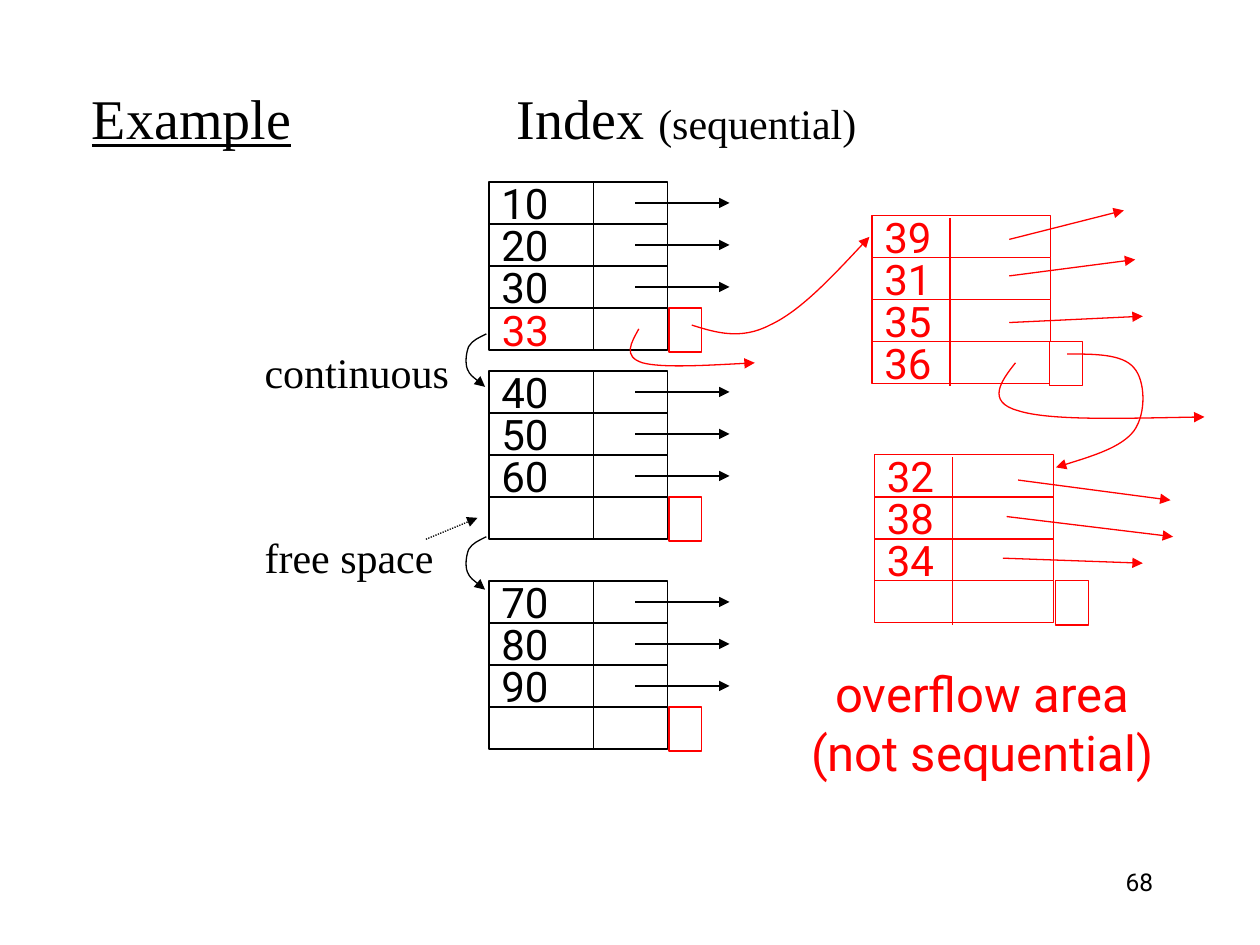
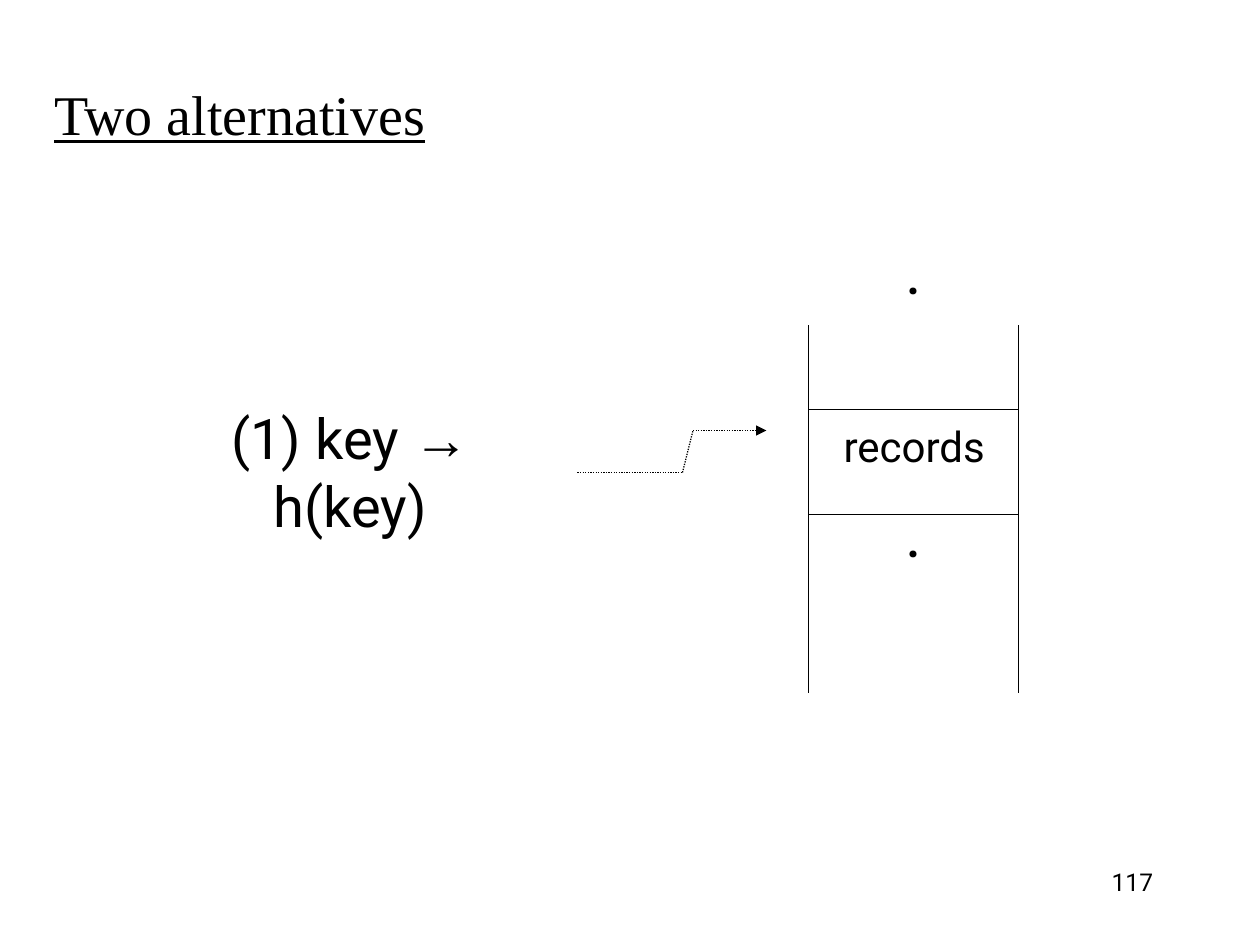
from lxml.etree import SubElement
from pptx import Presentation
from pptx.dml.color import RGBColor
from pptx.enum.dml import MSO_LINE
from pptx.enum.shapes import MSO_CONNECTOR, MSO_SHAPE
from pptx.enum.text import MSO_ANCHOR, MSO_AUTO_SIZE, PP_ALIGN
from pptx.oxml.ns import qn
from pptx.util import Inches, Pt

COLOURS = {"ink": "000000", "overflow": "FF0000", "paper": "FFFFFF"}
SERIF, SANS, ARROW_FONT = "Times New Roman", "Roboto", "Arial"
ROW, BLOCK_WIDTH = 1 / 3, 1.42
POINTER_SIZE = (0.26, 0.35)
LINE_WIDTH = 0.75

INDEX_TITLE = [
    (0, [("Example", SERIF, 32, True), ("\tIndex ", SERIF, 32, False),
         ("(sequential)", SERIF, 24, False)]),
    (112, [("\tcontinuous", SERIF, 24, False)]),
    (77, [("\tfree space", SERIF, 24, False)]),
]
INDEX_TABS = [1.37, 3.37]
INDEX_LEFT, INDEX_DIVIDER = 3.88, 0.83
INDEX_BLOCKS = [
    (13 / 9, ["10", "20", "30", ""]),
    (26.5 / 9, ["40", "50", "60", ""]),
    (41.5 / 9, ["70", "80", "90", ""]),
]
OVERFLOW_DIVIDER = 0.62
OVERFLOW_BLOCKS = [
    (6.92, 1.71, ["39", "31", "35", "36"], 1.41),
    (6.94, 3.61, ["32", "38", "34", ""], 1.44),
]
OVERFLOW_ARROWS = [
    ((8.01, 1.9), (8.92, 1.67)),
    ((8.01, 2.19), (9.01, 2.06)),
    ((8.01, 2.56), (9.07, 2.51)),
    ((8.08, 3.81), (9.29, 3.97)),
    ((7.99, 4.1), (9.31, 4.26)),
    ((7.96, 4.43), (9.07, 4.47)),
]
CONTINUATION = [
    (0, 0), (-0.06, 0.03), (-0.11, 0.05), (-0.14, 0.1), (-0.16, 0.15),
    (-0.17, 0.23), (-0.15, 0.28), (-0.13, 0.33), (-0.03, 0.4), (-0.01, 0.42),
]
CONTINUATION_STARTS = [(3.86, 2.65), (3.86, 4.26)]
OVERFLOW_CURVES = [
    [(5.49, 2.58), (5.68, 2.64), (5.88, 2.7), (6.11, 2.58),
     (6.35, 2.47), (6.63, 2.17), (6.9, 1.88)],
    [(8.47, 2.81), (8.69, 2.81), (8.91, 2.81), (9, 2.92), (9.09, 3.02),
     (9.1, 3.28), (9, 3.42), (8.9, 3.55), (8.64, 3.63), (8.38, 3.71)],
    [(5.07, 2.61), (5.01, 2.72), (4.94, 2.83), (5.1, 2.88),
     (5.25, 2.92), (5.62, 2.9), (5.99, 2.88)],
    [(8.06, 2.88), (7.94, 3.03), (7.83, 3.19), (8.08, 3.26),
     (8.33, 3.34), (8.94, 3.32), (9.56, 3.31)],
]

TWELFTH = 1 / 12
FILE_LEFT, FILE_RIGHT = 77 * TWELFTH, 97 * TWELFTH
FILE_TOP, FILE_BOTTOM = 31 * TWELFTH, 66 * TWELFTH
RECORD_EDGES = [39 * TWELFTH, 49 * TWELFTH]
HASH_STEPS = [(column * TWELFTH, row * TWELFTH)
              for column, row in [(55, 45), (65, 45), (66, 41), (73, 41)]]
DOT_TOPS = [2.24, 4.32]


def colour(name):
    return RGBColor.from_string(COLOURS[name])


def write_runs(paragraph, runs):
    for text, font, size, underline in runs:
        run = paragraph.add_run()
        run.text = text
        run.font.name = font
        run.font.size = Pt(size)
        run.font.underline = underline
        run.font.color.rgb = colour("ink")


def write_lines(shape, lines, size, ink="ink", align=PP_ALIGN.LEFT):
    frame = shape.text_frame
    frame.text = "\n".join(lines)
    for paragraph in frame.paragraphs:
        paragraph.alignment = align
        for run in paragraph.runs:
            run.font.name = SANS
            run.font.size = Pt(size)
            run.font.color.rgb = colour(ink)


def add_text(slide, box, lines, size, anchor=MSO_ANCHOR.TOP, wrap=True, **style):
    shape = slide.shapes.add_textbox(*map(Inches, box))
    shape.text_frame.word_wrap = wrap
    shape.text_frame.vertical_anchor = anchor
    write_lines(shape, lines, size, **style)
    return shape


def style_line(shape, ink, dotted=False, arrow=False):
    shape.line.color.rgb = colour(ink)
    shape.line.width = Pt(LINE_WIDTH)
    if dotted:
        shape.line.dash_style = MSO_LINE.ROUND_DOT
    if arrow:
        outline = shape.element.spPr.find(qn("a:ln"))
        SubElement(outline, qn("a:tailEnd"), type="triangle")


def add_line(slide, start, end, ink="ink", **style):
    connector = slide.shapes.add_connector(
        MSO_CONNECTOR.STRAIGHT, *map(Inches, (*start, *end)))
    style_line(connector, ink, **style)
    SubElement(connector.element.spPr, qn("a:effectLst"))


def add_curve(slide, points, ink):
    start, *controls = [tuple(map(Inches, point)) for point in points]
    builder = slide.shapes.build_freeform(*start, scale=1.0)
    builder.add_line_segments(controls, close=False)
    shape = builder.convert_to_shape()
    outline = shape.element.spPr.find(".//" + qn("a:path"))
    segments = outline.findall(qn("a:lnTo"))
    for i in range(0, len(segments), 3):
        curve = SubElement(outline, qn("a:cubicBezTo"))
        for segment in segments[i:i + 3]:
            curve.append(segment[0])
            outline.remove(segment)
    shape.shadow.inherit = False
    shape.fill.background()
    style_line(shape, ink, arrow=True)


def add_box(slide, box, ink):
    shape = slide.shapes.add_shape(MSO_SHAPE.RECTANGLE, *map(Inches, box))
    shape.shadow.inherit = False
    shape.fill.solid()
    shape.fill.fore_color.rgb = colour("paper")
    style_line(shape, ink)
    return shape


def add_block(slide, left, top, keys, divider, ink, pointer=1.43, drop=0):
    for row, key in enumerate(keys):
        cell = add_box(slide, (left, top + row * ROW, BLOCK_WIDTH, ROW), ink)
        if key:
            cell.text_frame.vertical_anchor = MSO_ANCHOR.MIDDLE
            write_lines(cell, [key], 24, ink=ink)
    x, y = left + divider, top + drop
    add_line(slide, (x, y), (x, y + len(keys) * ROW), ink)
    add_box(slide, (left + pointer, top + 3 * ROW, *POINTER_SIZE), "overflow")


def add_slide(presentation, title_box, paragraphs, number, tabs=()):
    slide = presentation.slides.add_slide(presentation.slide_layouts[5])
    title = slide.shapes.title
    title.left, title.top, title.width, title.height = map(Inches, title_box)
    frame = title.text_frame
    frame.auto_size = MSO_AUTO_SIZE.NONE
    frame.vertical_anchor = MSO_ANCHOR.TOP
    for i, (space, runs) in enumerate(paragraphs):
        paragraph = frame.add_paragraph() if i else frame.paragraphs[0]
        paragraph.alignment = PP_ALIGN.LEFT
        paragraph.space_before = Pt(space)
        write_runs(paragraph, runs)
        if tabs:
            stops = SubElement(paragraph._p.get_or_add_pPr(), qn("a:tabLst"))
            for tab in tabs:
                SubElement(stops, qn("a:tab"), pos=str(Inches(tab)), algn="l")
    add_text(slide, (7.17, 6.83, 2.08, 0.5), [number], 14, align=PP_ALIGN.RIGHT)
    return slide


def build_overflow_slide(presentation):
    slide = add_slide(presentation, (0.63, 0.61, 8.5, 5.25), INDEX_TITLE, "68",
                      INDEX_TABS)
    for top, keys in INDEX_BLOCKS:
        add_block(slide, INDEX_LEFT, top, keys, INDEX_DIVIDER, "ink")
        for row in range(3):
            middle = top + (row + 0.5) * ROW
            add_line(slide, (5.04, middle), (5.79, middle), arrow=True)
    add_text(slide, (INDEX_LEFT, 2.37, 0.58, 0.5), ["33"], 24, MSO_ANCHOR.MIDDLE,
             wrap=False, ink="overflow", align=PP_ALIGN.CENTER)
    add_line(slide, (3.38, 4.28), (3.79, 4.11), dotted=True, arrow=True)
    for x, y in CONTINUATION_STARTS:
        add_curve(slide, [(x + dx, y + dy) for dx, dy in CONTINUATION], "ink")

    for left, top, keys, pointer in OVERFLOW_BLOCKS:
        add_block(slide, left, top, keys, OVERFLOW_DIVIDER, "overflow",
                  pointer, drop=0.02)
    for points in OVERFLOW_CURVES:
        add_curve(slide, points, "overflow")
    for start, end in OVERFLOW_ARROWS:
        add_line(slide, start, end, "overflow", arrow=True)
    caption = add_box(slide, (6.33, 5.22, 2.93, 1.03), "paper")
    caption.line.fill.background()
    caption.text_frame.word_wrap = False
    caption.text_frame.vertical_anchor = MSO_ANCHOR.MIDDLE
    write_lines(caption, ["overflow area", "(not sequential)"], 28,
                ink="overflow", align=PP_ALIGN.CENTER)


def build_alternatives_slide(presentation):
    slide = add_slide(presentation, (0.33, 0.58, 8.5, 0.75),
                      [(0, [("Two alternatives", SERIF, 32, True)])], "117")
    last = len(HASH_STEPS) - 2
    for i, (start, end) in enumerate(zip(HASH_STEPS, HASH_STEPS[1:])):
        add_line(slide, start, end, dotted=True, arrow=i == last)
    for x in (FILE_LEFT, FILE_RIGHT):
        add_line(slide, (x, FILE_TOP), (x, FILE_BOTTOM))
    for y in RECORD_EDGES:
        add_line(slide, (FILE_LEFT, y), (FILE_RIGHT, y))
    add_text(slide, (6.56, 3.29, 1.39, 0.5), ["records"], 24, MSO_ANCHOR.MIDDLE,
             wrap=False, align=PP_ALIGN.CENTER)

    for top in DOT_TOPS:
        dots = add_text(slide, (7.09, top, 0.33, 0.79), [".", ".", "."], 36,
                        MSO_ANCHOR.MIDDLE, wrap=False, align=PP_ALIGN.CENTER)
        dots.text_frame.auto_size = MSO_AUTO_SIZE.SHAPE_TO_FIT_TEXT
        for i, paragraph in enumerate(dots.text_frame.paragraphs):
            paragraph.line_spacing = Pt(0) if i else 0.1
            paragraph.space_before = Pt(22.5)

    formula = add_text(slide, (1.53, 3.42, 2.5, 0.64), [], 32, MSO_ANCHOR.MIDDLE)
    paragraph = formula.text_frame.paragraphs[0]
    paragraph.alignment = PP_ALIGN.CENTER
    write_runs(paragraph, [("(1) key ", SANS, 32, False),
                           ("→", ARROW_FONT, 32, False),
                           (" h(key)", SANS, 32, False)])


def main():
    presentation = Presentation()
    presentation.slide_width = Inches(10)
    presentation.slide_height = Inches(7.5)
    build_overflow_slide(presentation)
    build_alternatives_slide(presentation)
    presentation.save("out.pptx")


if __name__ == "__main__":
    main()
